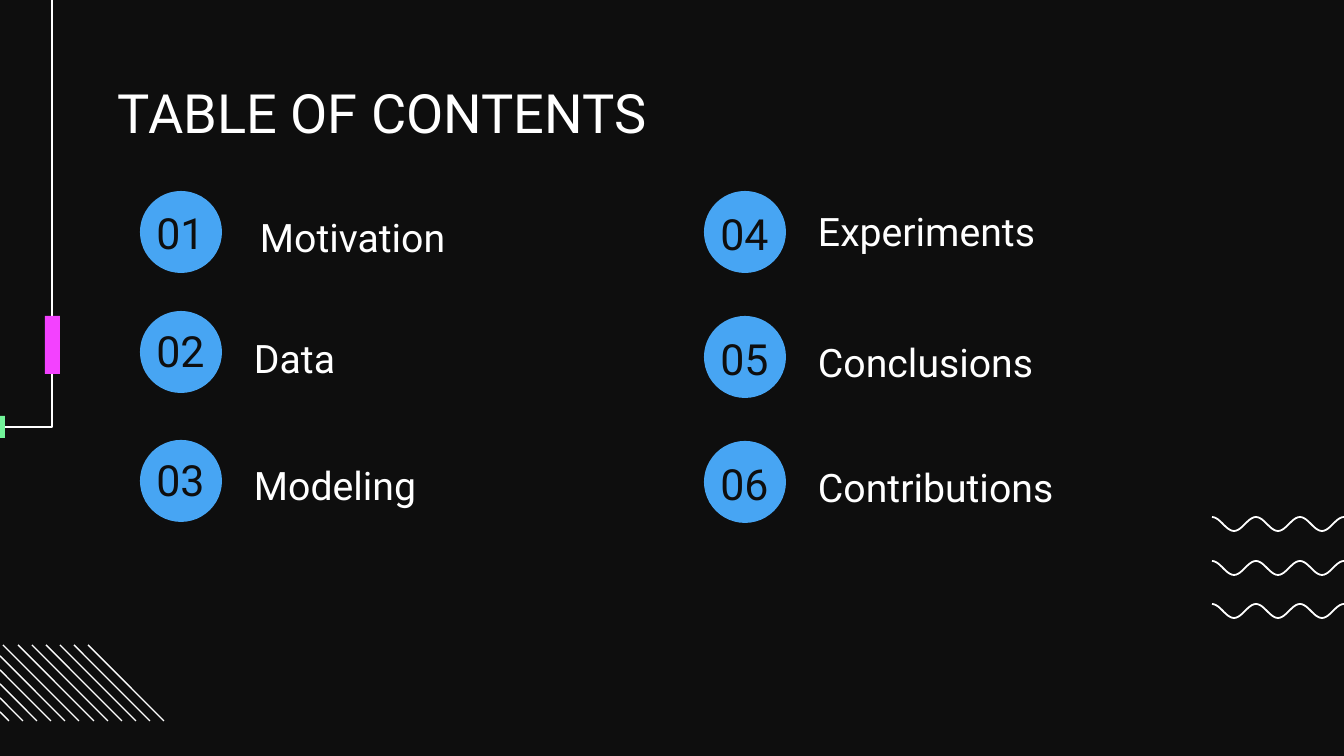
import math
from dataclasses import dataclass

import pptx
import pptx.dml.color
import pptx.enum.shapes
import pptx.enum.text
import pptx.oxml.ns
import pptx.util
from lxml import etree

W, H = 1344, 756
SHAPE = pptx.enum.shapes.MSO_SHAPE
ALIGN = pptx.enum.text.PP_ALIGN


@dataclass(frozen=True)
class Theme:
    background: str = "0E0E0E"
    ink: str = "FFFFFF"
    circle: str = "47A5F3"
    pink: str = "F341FF"
    green: str = "72F49A"
    font: str = "Roboto"
    title_size: int = 29
    number_size: int = 23
    label_size: int = 21
    thin: float = 0.75
    wave: float = 0.95


@dataclass(frozen=True)
class Entry:
    number: str
    label: str
    x: int
    y: int
    number_y: int
    label_x: int
    label_y: int


THEME = Theme()
CIRCLE = 82
ENTRIES = [
    Entry("01", "Motivation", 140, 191, 180, 247, 206),
    Entry("02", "Data", 140, 311, 298, 241, 327),
    Entry("03", "Modeling", 140, 440, 427, 241, 454),
    Entry("04", "Experiments", 704, 191, 181, 805, 200),
    Entry("05", "Conclusions", 704, 316, 306, 805, 331),
    Entry("06", "Contributions", 704, 441, 431, 805, 456),
]


def px(n: float) -> int:
    return round(n * pptx.util.Inches(10) / W)


def rgb(value: str) -> pptx.dml.color.RGBColor:
    return pptx.dml.color.RGBColor.from_string(value)


def set_text(sp, text: str, *, size: int, color: str = THEME.ink,
             align=ALIGN.LEFT, top: int = 0, spacing: float = 1.0,
             after: int = 0) -> None:
    """Write one paragraph at the top of sp; top is the upper inset in px."""
    tf = sp.text_frame
    tf.word_wrap = True
    tf.auto_size = pptx.enum.text.MSO_AUTO_SIZE.NONE
    tf.vertical_anchor = pptx.enum.text.MSO_ANCHOR.TOP
    tf.margin_left = tf.margin_right = tf.margin_bottom = px(13)
    tf.margin_top = px(top)
    p = tf.paragraphs[0]
    p.alignment = align
    p.line_spacing = spacing
    p.space_before = pptx.util.Pt(0)
    p.space_after = pptx.util.Pt(after)
    r = p.add_run()
    r.text = text
    r.font.name = THEME.font
    r.font.size = pptx.util.Pt(size)
    r.font.color.rgb = rgb(color)


def add_text(s, text: str, x: int, y: int, w: int, h: int, **fmt) -> None:
    set_text(s.shapes.add_textbox(px(x), px(y), px(w), px(h)), text, **fmt)


def add_solid(s, kind, x: int, y: int, w: int, h: int, color: str) -> None:
    sp = s.shapes.add_shape(kind, px(x), px(y), px(w), px(h))
    sp.shadow.inherit = False
    sp.fill.solid()
    sp.fill.fore_color.rgb = rgb(color)
    sp.line.fill.background()


def add_polyline(s, points: list[tuple[float, float]], width: float) -> None:
    first, *rest = [(px(x), px(y)) for x, y in points]
    builder = s.shapes.build_freeform(*first)
    builder.add_line_segments(rest, close=False)
    sp = builder.convert_to_shape()
    sp.shadow.inherit = False
    sp.fill.background()
    sp.line.color.rgb = rgb(THEME.ink)
    sp.line.width = pptx.util.Pt(width)


def add_line(s, x1: int, y1: int, x2: int, y2: int) -> None:
    line = s.shapes.add_connector(pptx.enum.shapes.MSO_CONNECTOR.STRAIGHT,
                                  px(x1), px(y1), px(x2), px(y2))
    line.line.color.rgb = rgb(THEME.ink)
    line.line.width = pptx.util.Pt(THEME.thin)
    etree.SubElement(line._element.spPr, pptx.oxml.ns.qn("a:effectLst"))


def add_waves(s) -> None:
    left, half, depth = 1212, 22, 14
    for top in (517, 561, 604):
        points = [(x, top + depth / 2 * (1 - math.cos(math.pi * (x - left) / half)))
                  for x in range(left, W + 1, 2)]
        add_polyline(s, points, THEME.wave)


def add_hatching(s) -> None:
    """Draw parallel diagonals, cut at the left edge of the slide."""
    top, size, count = 645, 76, 12
    for i in range(count):
        x = round(-67 + 155 * i / (count - 1))
        cut = max(0, -x)
        add_line(s, x + cut, top + cut, x + size, top + size)


def add_corner_frame(s) -> None:
    add_polyline(s, [(0, 427), (52, 427), (52, 0)], THEME.thin)
    add_solid(s, SHAPE.RECTANGLE, 0, 416, 5, 22, THEME.green)
    add_solid(s, SHAPE.RECTANGLE, 45, 316, 15, 58, THEME.pink)


def add_entry(s, e: Entry) -> None:
    add_solid(s, SHAPE.OVAL, e.x, e.y, CIRCLE, CIRCLE, THEME.circle)
    add_text(s, e.number, e.x - 20, e.number_y, 121, 82, top=27,
             size=THEME.number_size, color=THEME.background, align=ALIGN.CENTER)
    add_text(s, e.label, e.label_x, e.label_y, 425, 52,
             size=THEME.label_size, spacing=1.15, after=12)


def main() -> None:
    prs = pptx.Presentation()
    prs.slide_width, prs.slide_height = px(W), px(H)
    s = prs.slides.add_slide(prs.slide_layouts.get_by_name("Title Only"))
    s.background.fill.solid()
    s.background.fill.fore_color.rgb = rgb(THEME.background)

    add_waves(s)
    add_hatching(s)
    add_corner_frame(s)

    title = s.shapes.title
    title.left, title.top, title.width, title.height = map(px, (105, 79, 1134, 62))
    set_text(title, "TABLE OF CONTENTS", size=THEME.title_size)

    for entry in ENTRIES:
        add_entry(s, entry)
    prs.save("out.pptx")


if __name__ == "__main__":
    main()
